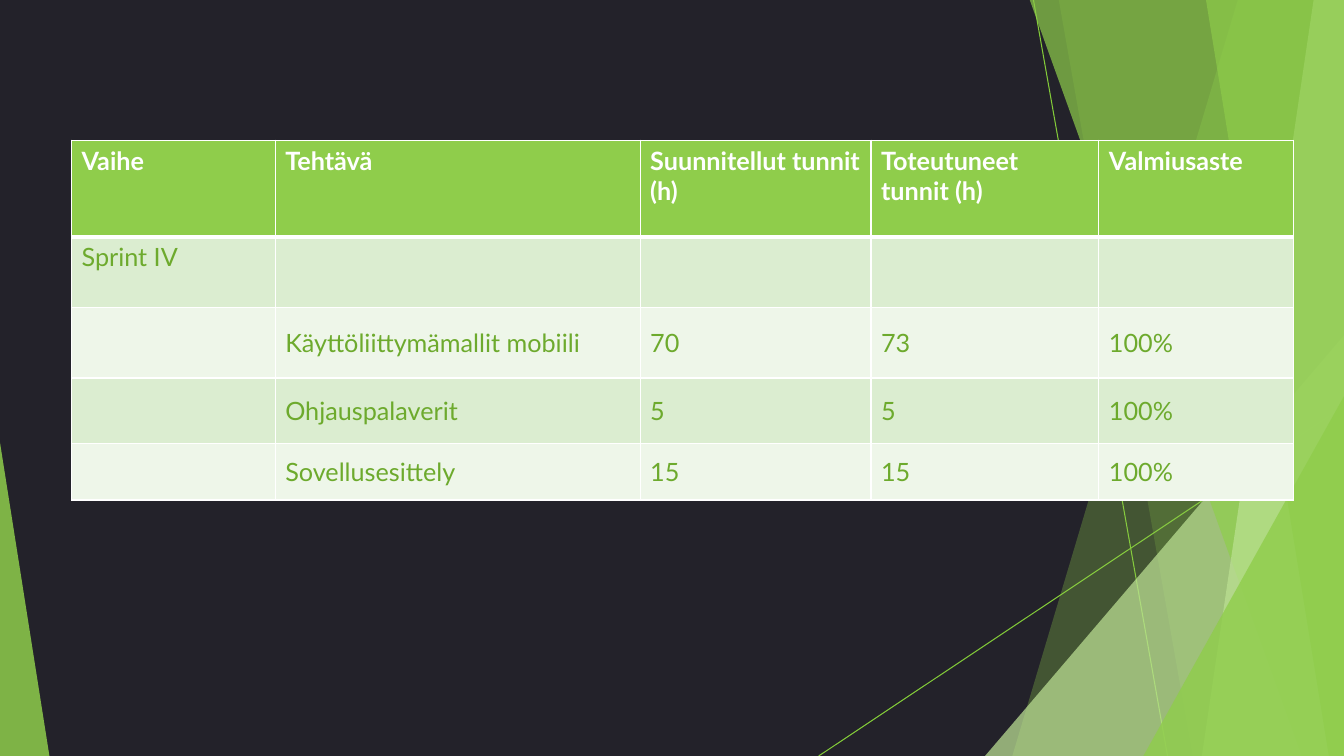
"""Build a dark slide with green facets and a sprint hours table."""
from lxml import etree
from pptx import Presentation
from pptx.dml.color import RGBColor
from pptx.enum import shapes, text
from pptx.oxml import ns
from pptx.util import Inches, Pt

DARK = RGBColor(0x23, 0x22, 0x2A)
WHITE = RGBColor(0xFF, 0xFF, 0xFF)
GREEN = RGBColor(0x8F, 0xCD, 0x4B)
BRIGHT = RGBColor(0x8F, 0xCE, 0x4B)
PALE = RGBColor(0xBD, 0xE2, 0x95)
LIGHT = RGBColor(0xBC, 0xE1, 0x93)
VIVID = RGBColor(0x83, 0xCB, 0x39)
LEAF = RGBColor(0x6D, 0xAA, 0x2D)
BANDS = [RGBColor(0xEE, 0xF6, 0xE9), RGBColor(0xDB, 0xED, 0xD0)]


def add(node, tag, **attrs):
    """Append a drawing element."""
    return etree.SubElement(node, ns.qn(tag), attrs)


deck = Presentation()
deck.slide_width, deck.slide_height = Inches(13.33), Inches(7.5)
slide = deck.slides.add_slide(deck.slide_layouts[6])
slide.background.fill.solid()
slide.background.fill.fore_color.rgb = DARK

for x1, y1, x2, y2 in [(10.25, 0, 11.58, 7.5), (13.33, 4.03, 8.12, 7.5)]:
    line = slide.shapes.add_connector(
        shapes.MSO_CONNECTOR.STRAIGHT, Inches(x1), Inches(y1), Inches(x2), Inches(y2))
    line.line.color.rgb = VIVID
    line.line.width = Pt(0.75)
    add(line._element.spPr, "a:effectLst")

# Each facet is a band (top x, bottom x) or a triangle (left, top, width, height, apex).
facets = [
    ((12.28, 10.04), GREEN, 30),
    ((10.5, 11.83), GREEN, 20),
    ((9.77, 3.33, 3.56, 4.17, 1), PALE, 72),
    ((10.21, 12.91), BRIGHT, 70),
    ((13.03, 11.92), LIGHT, 70),
    ((11.96, 13.18), GREEN, 65),
    ((11.34, 3.93, 1.99, 3.57, 1), GREEN, 80),
    ((0, 4.39, 0.49, 3.11, 0), GREEN, 85),
]
for form, color, alpha in facets:
    if len(form) == 2:
        top, base = form
        pen = slide.shapes.build_freeform(Inches(top), Inches(-0.01))
        pen.add_line_segments([(Inches(x), Inches(y)) for x, y in
                               [(13.33, -0.01), (13.33, 7.5), (base, 7.5)]])
        facet = pen.convert_to_shape()
    else:
        facet = slide.shapes.add_shape(
            shapes.MSO_SHAPE.ISOSCELES_TRIANGLE, *[Inches(n) for n in form[:4]])
        facet.adjustments[0] = form[4]
    facet.shadow.inherit = False
    facet.line.fill.background()
    facet.fill.solid()
    facet.fill.fore_color.rgb = color
    tint = facet._element.spPr.find(".//" + ns.qn("a:srgbClr"))
    add(tint, "a:alpha", val=str(alpha * 1000))

rows = [
    ["Vaihe", "Tehtävä", "Suunnitellut tunnit (h)", "Toteutuneet tunnit (h)", "Valmiusaste"],
    ["Sprint IV", "", "", "", ""],
    ["", "Käyttöliittymämallit mobiili", "70", "73", "100%"],
    ["", "Ohjauspalaverit", "5", "5", "100%"],
    ["", "Sovellusesittely", "15", "15", "100%"],
]
widths = [2.02, 3.62, 2.29, 2.26, 1.93]
heights = [0.96, 0.7, 0.7, 0.65, 0.56]
table = slide.shapes.add_table(
    len(rows), len(widths), Inches(0.71), Inches(1.39),
    Inches(sum(widths)), Inches(sum(heights))).table
for col, width in zip(table.columns, widths):
    col.width = Inches(width)
for r, words in enumerate(rows):
    table.rows[r].height = Inches(heights[r])
    for c, word in enumerate(words):
        cell = table.cell(r, c)
        cell.text = word
        font = cell.text_frame.paragraphs[0].font
        font.name, font.size, font.bold = "Lato", Pt(18), r == 0
        font.color.rgb = LEAF if r else WHITE
        if r > 1:
            cell.vertical_anchor = text.MSO_ANCHOR.MIDDLE
        props = cell._tc.get_or_add_tcPr()
        for side in "LRTB":
            thick = (r, side) in [(0, "B"), (1, "T")]
            edge = add(props, "a:ln" + side, w=str(Pt(3 if thick else 1)))
            add(add(edge, "a:solidFill"), "a:srgbClr", val=str(WHITE))
        cell.fill.solid()
        cell.fill.fore_color.rgb = BANDS[r % 2] if r else GREEN

deck.save("out.pptx")
